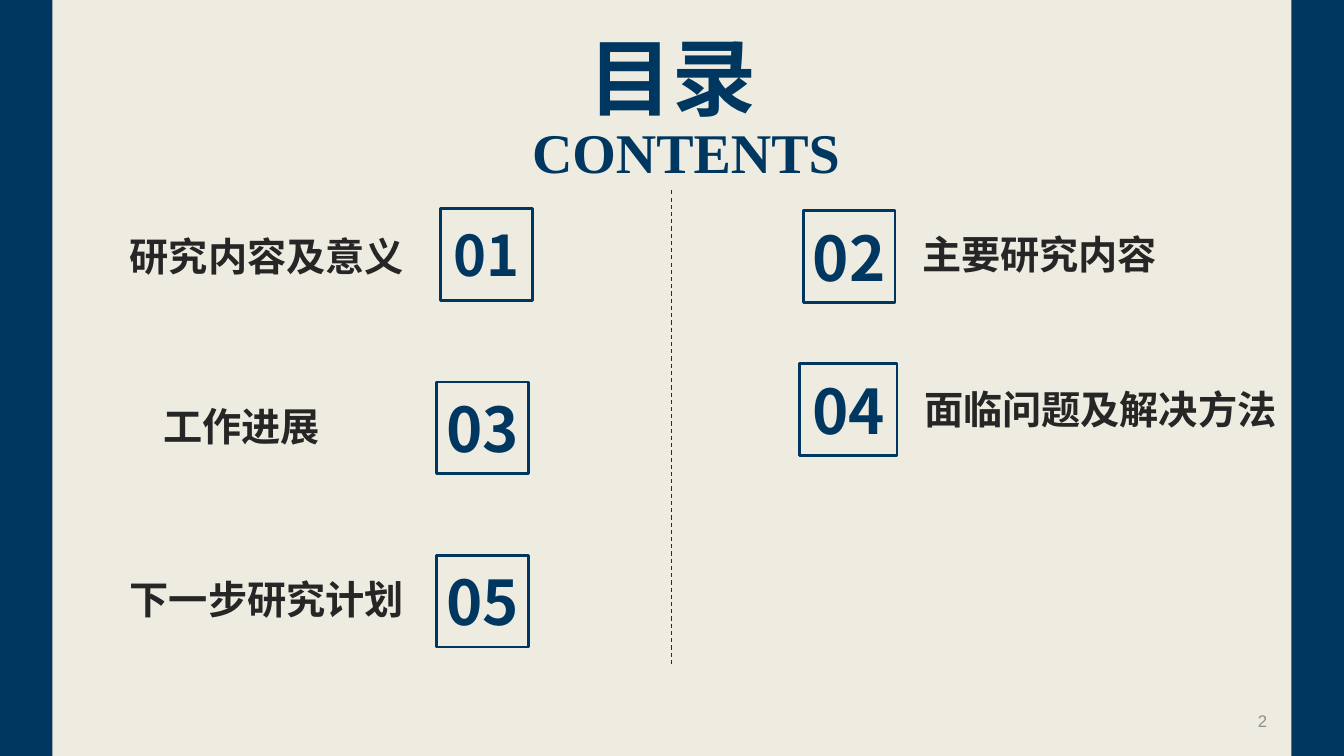
from dataclasses import dataclass

from lxml import etree
from pptx import Presentation
from pptx.dml.color import RGBColor
from pptx.enum.dml import MSO_LINE
from pptx.enum.shapes import MSO_CONNECTOR, MSO_SHAPE
from pptx.enum.text import MSO_ANCHOR, MSO_AUTO_SIZE, PP_ALIGN
from pptx.oxml.ns import qn
from pptx.util import Pt

LEFT, CENTER, RIGHT = PP_ALIGN.LEFT, PP_ALIGN.CENTER, PP_ALIGN.RIGHT
TOP, MIDDLE = MSO_ANCHOR.TOP, MSO_ANCHOR.MIDDLE
RECTANGLE = MSO_SHAPE.RECTANGLE


@dataclass(frozen=True)
class Theme:
    background: RGBColor = RGBColor(0xEE, 0xEC, 0xE1)
    navy: RGBColor = RGBColor(0x00, 0x37, 0x60)
    divider: RGBColor = RGBColor(0x00, 0x36, 0x5E)
    ink: RGBColor = RGBColor(0x26, 0x26, 0x26)
    gray: RGBColor = RGBColor(0x8E, 0x8E, 0x8E)
    chinese: str = "Noto Sans CJK SC"
    serif: str = "Times New Roman"
    sans: str = "Arial"
    title: int = 60
    subtitle: int = 40
    label: int = 28
    page: int = 12


THEME = Theme()
WIDTH, HEIGHT = 960, 540
BAND_WIDTH = 37.5
BOX_HEIGHT, LABEL_HEIGHT = 65.5, 41

TITLE, SUBTITLE, PAGE = "目录", "CONTENTS", "2"
# number, number size, box left, box top, box width, label, label left, label top, label width
ENTRIES = [
    ("01", 40, 314.6, 149, 65.5, "研究内容及意义", 85.7, 162.7, 211.7),
    ("02", 44, 573.8, 150.5, 65.5, "主要研究内容", 651.6, 161.3, 229.7),
    ("03", 44, 311.8, 272.9, 65.5, "工作进展", 109.4, 283.7, 188.6),
    ("04", 44, 571.3, 259.9, 69.5, "面临问题及解决方法", 653, 271.4, 273.6),
    ("05", 44, 311.8, 396.7, 65.5, "下一步研究计划", 85.7, 407.5, 211.7),
]


def write(shape, text, size, color, font, align=LEFT, anchor=TOP, bold=True):
    frame = shape.text_frame
    frame.word_wrap = True
    frame.auto_size = MSO_AUTO_SIZE.NONE
    frame.vertical_anchor = anchor
    paragraph = frame.paragraphs[0]
    paragraph.text = text
    paragraph.alignment = align
    paragraph.font.size = Pt(size)
    paragraph.font.bold = bold
    paragraph.font.color.rgb = color
    paragraph.font.name = font
    properties = paragraph._p.pPr.find(qn("a:defRPr"))
    etree.SubElement(properties, qn("a:ea")).set("typeface", font)


def add_text(slide, left, top, width, height, *style, **options):
    box = slide.shapes.add_textbox(Pt(left), Pt(top), Pt(width), Pt(height))
    write(box, *style, **options)


def add_rectangle(slide, left, top, width, height):
    shape = slide.shapes.add_shape(RECTANGLE, Pt(left), Pt(top), Pt(width), Pt(height))
    shape.shadow.inherit = False
    return shape


def add_band(slide, left):
    band = add_rectangle(slide, left, 0, BAND_WIDTH, HEIGHT)
    band.fill.solid()
    band.fill.fore_color.rgb = THEME.navy
    band.line.fill.background()


def add_number(slide, number, size, left, top, width):
    box = add_rectangle(slide, left, top, width, BOX_HEIGHT)
    box.fill.background()
    box.line.color.rgb = THEME.navy
    box.line.width = Pt(2)
    frame = box.text_frame
    frame.margin_left = frame.margin_right = frame.margin_top = frame.margin_bottom = 0
    write(box, number, size, THEME.navy, THEME.chinese, CENTER, MIDDLE)


def add_divider(slide, x, top, bottom):
    line = slide.shapes.add_connector(MSO_CONNECTOR.STRAIGHT, Pt(x), Pt(top), Pt(x), Pt(bottom))
    line.line.color.rgb = THEME.divider
    line.line.width = Pt(0.75)
    line.line.dash_style = MSO_LINE.DASH
    etree.SubElement(line._element.spPr, qn("a:effectLst"))


presentation = Presentation()
presentation.slide_width, presentation.slide_height = Pt(WIDTH), Pt(HEIGHT)
slide = presentation.slides.add_slide(presentation.slide_layouts[5])
slide.background.fill.solid()
slide.background.fill.fore_color.rgb = THEME.background

for band_left in (0, WIDTH - BAND_WIDTH):
    add_band(slide, band_left)

title = slide.shapes.title
title.left, title.top, title.width, title.height = Pt(388.8), Pt(14.4), Pt(183), Pt(80)
write(title, TITLE, THEME.title, THEME.navy, THEME.chinese, CENTER)
add_text(slide, 352.8, 80.6, 254.2, 55.4, SUBTITLE, THEME.subtitle, THEME.navy, THEME.serif, RIGHT)

for number, size, left, top, width, label, label_left, label_top, label_width in ENTRIES:
    add_number(slide, number, size, left, top, width)
    add_text(slide, label_left, label_top, label_width, LABEL_HEIGHT,
             label, THEME.label, THEME.ink, THEME.chinese)

add_divider(slide, WIDTH / 2, 136, 474)
add_text(slide, 688.3, 500.4, 224, 28.8, PAGE, THEME.page, THEME.gray, THEME.sans,
         RIGHT, MIDDLE, bold=False)

presentation.save("out.pptx")
